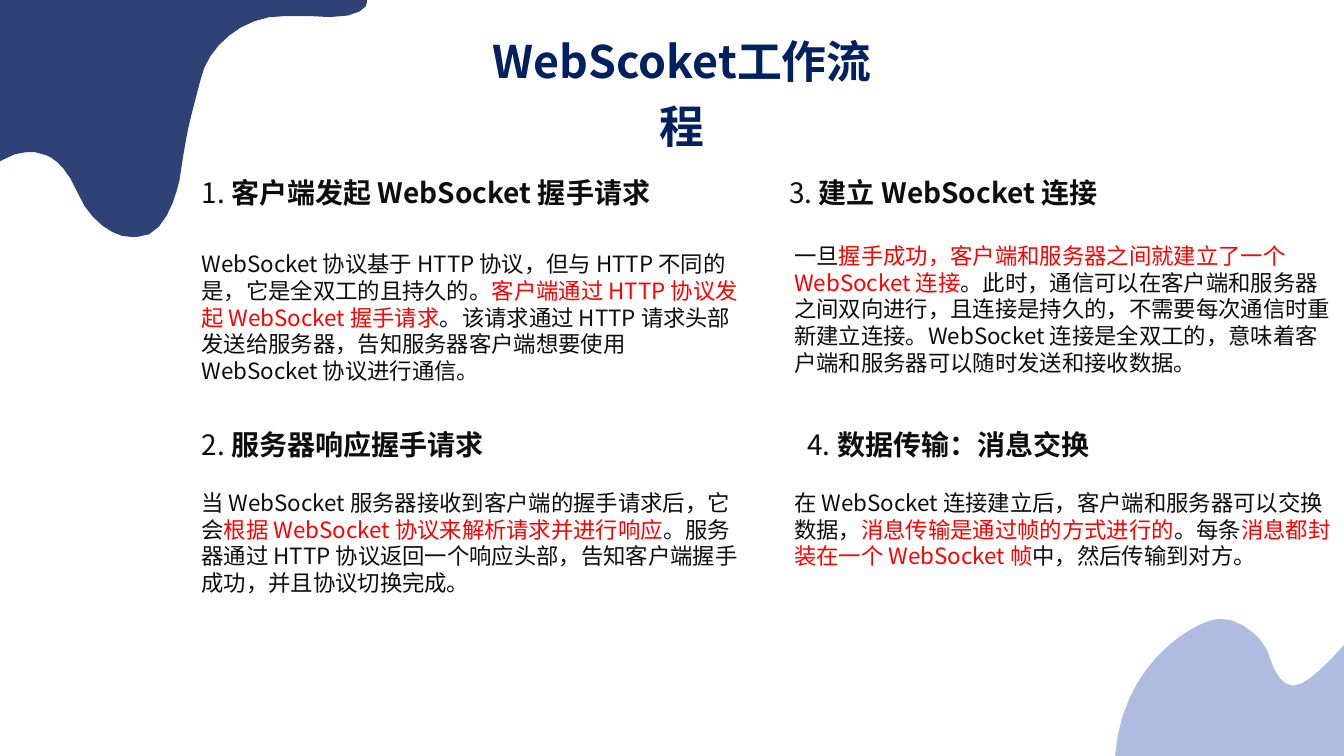
"""Build the slide on the WebSocket workflow."""
import math

import lxml.etree
import pptx
import pptx.dml.color
import pptx.enum.text
import pptx.oxml.ns
import pptx.util

Inches = pptx.util.Inches
FONT = "Noto Sans CJK SC"
NAVY, BLUE, PALE = "002060", "2F4275", "AEBCDF"
INK, RED = "0D0D0D", "FF0000"
WIDTH = 5.56

TOP_BLOB = [
    (0, 1.6), (0.04, 1.58),
    (0.18, 1.49, 0.35, 1.51, 0.35, 1.51), (0.46, 1.54),
    (0.53, 1.57, 0.65, 1.64, 0.77, 1.91), (0.88, 2.19, 1.14, 2.36, 1.3, 2.35),
    (1.36, 2.35), (1.62, 2.36, 1.74, 1.97, 1.78, 1.79),
    (1.82, 1.53), (1.85, 1.36),
    (1.89, 1.16, 1.9, 1.14, 1.95, 0.94), (1.99, 0.79),
    (2.05, 0.48, 2.4, 0.15, 2.82, 0.16), (3.09, 0.16), (3.27, 0.17),
    (3.56, 0.17, 3.65, 0.07, 3.64, 0.02), (3.64, 0), (0, 0),
]
LOW_BLOB = [
    (0, 1.36), (0.07, 0.41, 0.82, 0.01, 1.03, 0), (1.06, 0),
    (1.26, 0, 1.51, 0.22, 1.54, 0.4), (1.58, 0.54, 1.67, 0.66, 1.75, 0.66),
    (1.78, 0.66), (1.89, 0.66, 2.08, 0.46, 2.16, 0.38),
    (2.27, 0.26), (2.27, 1.36),
]
STEPS = [
    (1.9, 1.69, 0, 0.74, 1.45, "客户端发起 WebSocket 握手请求", [
        ("WebSocket 协议基于 HTTP 协议，但与 HTTP 不同的是，它是全双工的且持久的。", INK),
        ("客户端通过 HTTP 协议发起 WebSocket 握手请求", RED),
        ("。该请求通过 HTTP 请求头部发送给服务器，告知服务器客户端想要使用 WebSocket 协议进行通信。", INK)]),
    (1.9, 4.19, 0, 0.61, 1.18, "服务器响应握手请求", [
        ("当 WebSocket 服务器接收到客户端的握手请求后，它会", INK),
        ("根据 WebSocket 协议来解析请求并进行响应", RED),
        ("。服务器通过 HTTP 协议返回一个响应头部，告知客户端握手成功，并且协议切换完成。", INK)]),
    (7.78, 1.69, -0.05, 0.66, 1.45, "建立 WebSocket 连接", [
        ("一旦", INK),
        ("握手成功，客户端和服务器之间就建立了一个 WebSocket 连接", RED),
        ("。此时，通信可以在客户端和服务器之间双向进行，且连接是持久的，不需要每次通信时重新建立连接。"
         "WebSocket 连接是全双工的，意味着客户端和服务器可以随时发送和接收数据。", INK)]),
    (7.78, 4.19, 0.13, 0.61, 0.91, "数据传输：消息交换", [
        ("在 WebSocket 连接建立后，客户端和服务器可以交换数据，", INK),
        ("消息传输是通过帧的方式进行的", RED),
        ("。每条", INK),
        ("消息都封装在一个 WebSocket 帧", RED),
        ("中，然后传输到对方。", INK)]),
]


def tint(code):
    """Turn a hex string into a colour."""
    return pptx.dml.color.RGBColor.from_string(code)


def trace(path, gap=0.15):
    """Yield the points of a path of lines and cubic curves."""
    last = path[0]
    for part in path[1:]:
        if len(part) == 6:
            knots = last, part[:2], part[2:4], part[4:]
            count = math.ceil(math.dist(last, part[4:]) / gap) + 1
            for step in range(1, count):
                t = step / count
                s = 1 - t
                loads = s ** 3, 3 * s * s * t, 3 * s * t * t, t ** 3
                yield tuple(sum(w * k[axis] for w, k in zip(loads, knots))
                            for axis in (0, 1))
        last = part[-2:]
        yield last


def add_blob(slide, left, top, path, color):
    """Draw a filled blob whose path starts from the given corner."""
    def place(point):
        """Shift a point to the corner."""
        return Inches(left + point[0]), Inches(top + point[1])

    pen = slide.shapes.build_freeform(*place(path[0]), scale=1.0)
    pen.add_line_segments([place(point) for point in trace(path)], close=True)
    blob = pen.convert_to_shape()
    blob.shadow.inherit = False
    blob.fill.solid()
    blob.fill.fore_color.rgb = tint(color)
    blob.line.fill.background()


def add_text(slide, box, size, runs):
    """Add a box of (text, colour, bold) runs and return its paragraph."""
    frame = slide.shapes.add_textbox(*map(Inches, box)).text_frame
    frame.word_wrap = True
    frame.auto_size = pptx.enum.text.MSO_AUTO_SIZE.SHAPE_TO_FIT_TEXT
    para = frame.paragraphs[0]
    for text, color, bold in runs:
        run = para.add_run()
        run.text = text
        run.font.size = pptx.util.Pt(size)
        run.font.bold = bold
        run.font.color.rgb = tint(color)
        run.font.name = FONT
        east = lxml.etree.SubElement(run.font._element, pptx.oxml.ns.qn("a:ea"))
        east.set("typeface", FONT)
    return para


def add_title(slide, box):
    """Add the centred title."""
    para = add_text(slide, box, 32, [("WebScoket工作流程", NAVY, True)])
    para.alignment = pptx.enum.text.PP_ALIGN.CENTER
    para.line_spacing = 1.2


def add_step(slide, number, left, top, shift, drop, height, head, body):
    """Add a numbered heading with its text below."""
    add_text(slide, (left + shift, top, WIDTH, 0.44), 20,
             [(f"{number}. ", INK, False), (head, INK, True)])
    add_text(slide, (left, top + drop, WIDTH, height), 16,
             [(text, color, False) for text, color in body])


def main():
    """Build and save the deck."""
    deck = pptx.Presentation()
    deck.slide_width, deck.slide_height = Inches(13.33), Inches(7.5)
    slide = deck.slides.add_slide(deck.slide_layouts[6])
    add_blob(slide, 0, 0, TOP_BLOB, BLUE)
    add_blob(slide, 11.06, 6.14, LOW_BLOB, PALE)
    add_title(slide, (4.74, 0.18, 4.05, 0.75))
    for number, step in enumerate(STEPS, 1):
        add_step(slide, number, *step)
    deck.save("out.pptx")


if __name__ == "__main__":
    main()
